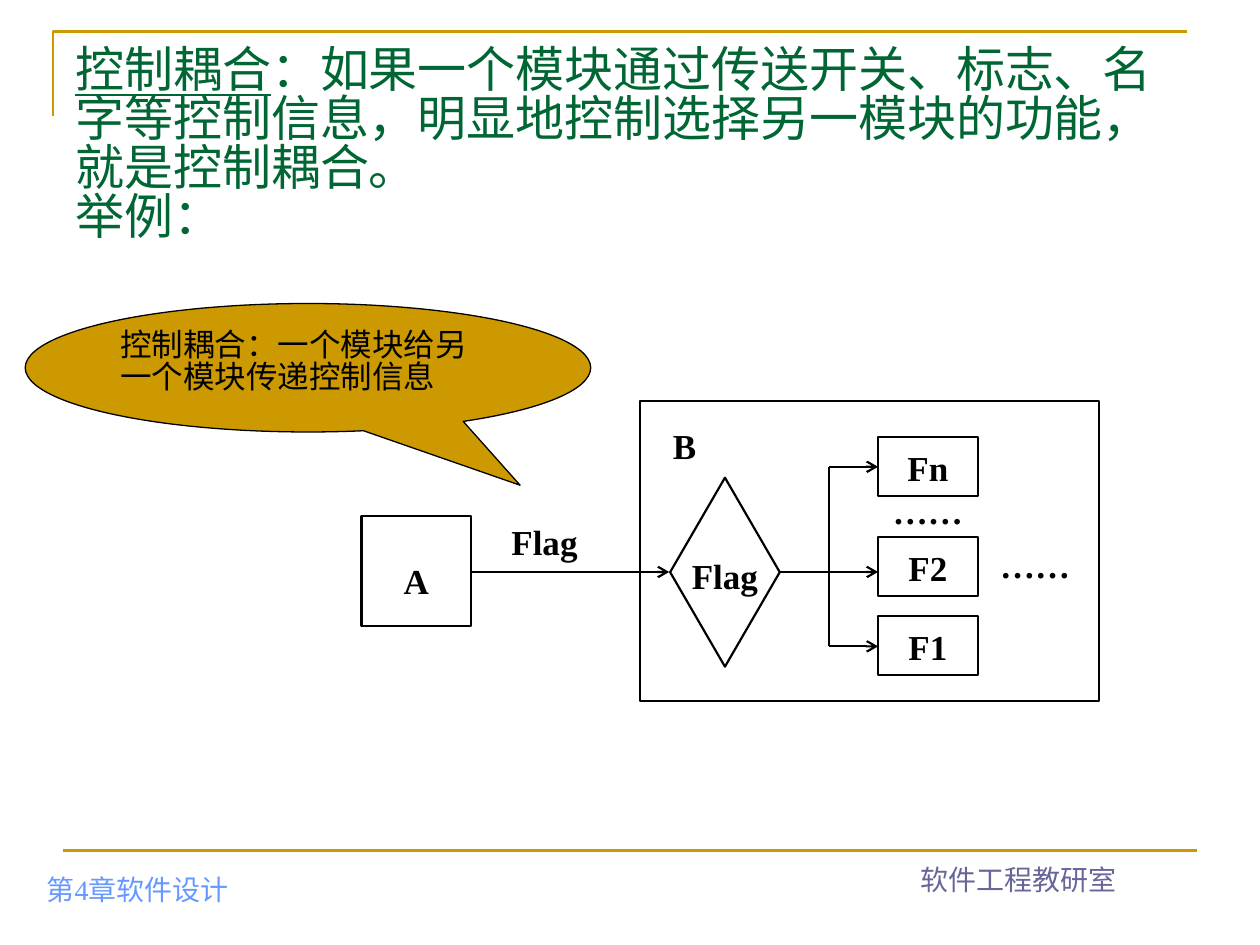
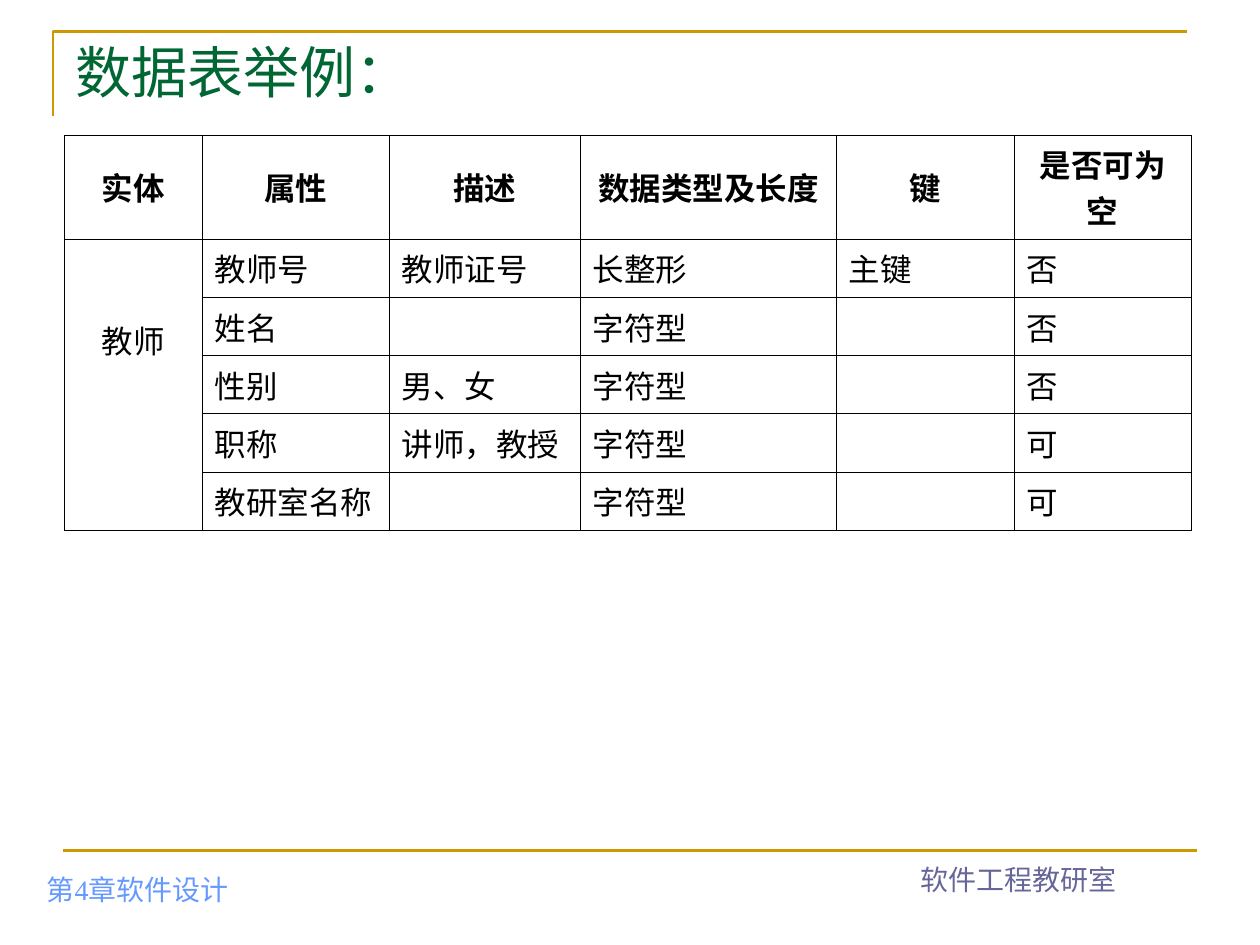
import pptx
import pptx.dml.color
import pptx.enum.shapes
import pptx.enum.text
import pptx.oxml
import pptx.oxml.ns
import pptx.util
from lxml import etree

Cm = pptx.util.Cm
Pt = pptx.util.Pt
SHAPE = pptx.enum.shapes.MSO_SHAPE
ALIGN = pptx.enum.text.PP_ALIGN
ANCHOR = pptx.enum.text.MSO_ANCHOR
qn = pptx.oxml.ns.qn


def colour(value):
    return pptx.dml.color.RGBColor.from_string(value)


class Deck:
    GREEN, GOLD, BLACK, WHITE = "006633", "CC9900", "000000", "FFFFFF"
    SKY, VIOLET = "6699FF", "666699"
    SERIF, SANS, CHINESE = "Times New Roman", "Arial", "Noto Sans CJK SC"
    TIGHT = 0.83

    def __init__(self):
        self.presentation = pptx.Presentation()
        self.presentation.slide_width = Cm(25.4)
        self.presentation.slide_height = Cm(19.05)
        self.slide = None

    def new_slide(self, heading, size, height, term=""):
        layout = self.presentation.slide_layouts[5]
        self.slide = self.presentation.slides.add_slide(layout)
        self.frame()
        self.heading(heading, size, height, term)

    def frame(self):
        builder = self.slide.shapes.build_freeform(Cm(1.07), Cm(2.34))
        builder.add_line_segments(
            [(Cm(1.07), Cm(0.64)), (Cm(23.93), Cm(0.64))], close=False)
        corner = builder.convert_to_shape()
        corner.shadow.inherit = False
        self.paint(corner, None, self.GOLD, 1.5)
        self.line((1.27, 17.14), (24.13, 17.14), self.GOLD, 1.5)
        self.text("第4章软件设计", (0.69, 17.12, 8, 1.27), 16, self.SKY,
                  anchor=ANCHOR.BOTTOM)
        self.text("软件工程教研室", (16.51, 16.92, 8.05, 1.27), 16, self.VIOLET,
                  align=ALIGN.CENTER, anchor=ANCHOR.BOTTOM)

    def heading(self, wording, size, height, term):
        title = self.slide.shapes.title
        title.left, title.top = Cm(1.27), Cm(0.76)
        title.width, title.height = Cm(22.86), Cm(height)
        text_frame = title.text_frame
        text_frame.text = wording
        if term:
            opening = text_frame.paragraphs[0]
            opening.text = term
            opening.runs[0].font.underline = True
            opening.add_run().text = wording.split("\n")[0].removeprefix(term)
        self.format(text_frame, size, self.GREEN, spacing=self.TIGHT,
                    margins=(0.25, 0.22))

    def format(self, text_frame, size, tint, face=SERIF, bold=False,
               align=ALIGN.LEFT, spacing=None, anchor=ANCHOR.TOP,
               margins=(0.25, 0.13)):
        text_frame.word_wrap = True
        text_frame.auto_size = pptx.enum.text.MSO_AUTO_SIZE.NONE
        text_frame.vertical_anchor = anchor
        text_frame.margin_left = text_frame.margin_right = Cm(margins[0])
        text_frame.margin_top = text_frame.margin_bottom = Cm(margins[1])
        self.format_runs(text_frame, size, tint, face, bold, align, spacing)

    def format_runs(self, text_frame, size, tint, face, bold, align,
                    spacing=None):
        for paragraph in text_frame.paragraphs:
            paragraph.alignment = align
            paragraph.line_spacing = spacing
            for run in paragraph.runs:
                run.font.size = Pt(size)
                run.font.bold = bold
                run.font.name = face
                run.font.color.rgb = colour(tint)
                chinese = any("一" <= letter <= "龥" for letter in run.text)
                etree.SubElement(run.font._element, qn("a:ea")).set(
                    "typeface", self.CHINESE if chinese else face)

    def paint(self, shape, fill, edge, weight):
        if fill:
            shape.fill.solid()
            shape.fill.fore_color.rgb = colour(fill)
        else:
            shape.fill.background()
        shape.line.color.rgb = colour(edge)
        shape.line.width = Pt(weight)

    def text(self, wording, box, size, tint, **style):
        label = self.slide.shapes.add_textbox(*map(Cm, box))
        label.text_frame.text = wording
        self.format(label.text_frame, size, tint, **style)

    def label(self, wording, box, spacing=1, align=ALIGN.CENTER,
              margins=(0.05, 0.03)):
        self.text(wording, box, 20, self.BLACK, bold=True, align=align,
                  spacing=spacing, margins=margins)

    def shape(self, kind, box, fill=None, weight=1.25):
        outline = self.slide.shapes.add_shape(kind, *map(Cm, box))
        outline.shadow.inherit = False
        self.paint(outline, fill, self.BLACK, weight)
        return outline

    def module(self, name, box, spacing):
        block = self.shape(SHAPE.RECTANGLE, box, self.WHITE)
        block.text_frame.text = name
        self.format(block.text_frame, 20, self.BLACK, bold=True,
                    align=ALIGN.CENTER, spacing=spacing, margins=(0.25, 0.03))

    def callout(self, wording, box, tip):
        bubble = self.shape(SHAPE.OVAL_CALLOUT, box, self.GOLD, 0.75)
        bubble.adjustments[0], bubble.adjustments[1] = tip
        bubble.text_frame.text = wording
        self.format(bubble.text_frame, 18, self.BLACK, face=self.SANS,
                    spacing=self.TIGHT, margins=(0.25, 0.19))

    def line(self, start, end, tint=BLACK, weight=1.25, arrow=False):
        connector = self.slide.shapes.add_connector(
            pptx.enum.shapes.MSO_CONNECTOR.STRAIGHT,
            *map(Cm, start), *map(Cm, end))
        connector.line.color.rgb = colour(tint)
        connector.line.width = Pt(weight)
        if arrow:
            etree.SubElement(connector.line._get_or_add_ln(),
                             qn("a:tailEnd")).set("type", "arrow")
        etree.SubElement(connector._element.spPr, qn("a:effectLst"))

    def border(self, cell):
        properties = cell._tc.get_or_add_tcPr()
        for position, side in enumerate(("a:lnL", "a:lnR", "a:lnT", "a:lnB")):
            edge = etree.Element(qn(side), w=str(Pt(0.45)))
            fill = etree.SubElement(edge, qn("a:solidFill"))
            etree.SubElement(fill, qn("a:srgbClr")).set("val", self.BLACK)
            properties.insert(position, edge)

    def table(self, rows, corner, widths, heights):
        table = self.slide.shapes.add_table(
            len(rows), len(widths), *map(Cm, corner),
            Cm(sum(widths)), Cm(sum(heights))).table
        table.horz_banding = False
        for column, width in zip(table.columns, widths):
            column.width = Cm(width)
        for row, height in zip(table.rows, heights):
            row.height = Cm(height)
        for r, row in enumerate(rows):
            for c, wording in enumerate(row):
                cell = table.cell(r, c)
                cell.text_frame.text = wording
                cell.fill.solid()
                cell.fill.fore_color.rgb = colour(self.WHITE)
                cell.vertical_anchor = ANCHOR.MIDDLE if r == 0 else ANCHOR.TOP
                centred = r == 0 or c == 0
                self.format_runs(cell.text_frame, 18, self.BLACK, self.SANS,
                                 r == 0,
                                 ALIGN.CENTER if centred else ALIGN.LEFT)
                self.border(cell)
        entity = table.cell(1, 0)
        entity.merge(table.cell(len(rows) - 1, 0))
        entity.margin_top = Cm(1.56)


def control_coupling(deck):
    deck.new_slide(
        "控制耦合：如果一个模块通过传送开关、标志、名字等控制信息，"
        "明显地控制选择另一模块的功能，就是控制耦合。\n举例：",
        28, 3.18, term="控制耦合")
    flow, branch, functions = 11.53, 16.71, 17.7
    top_branch, bottom_branch = 9.41, 13.03

    deck.module("A", (7.29, 10.41, 2.21, 2.21), 2)
    deck.label("B", (12.9, 7.52, 1.8, 2.01), 2.2)
    deck.shape(SHAPE.DIAMOND, (13.51, 9.63, 2.21, 3.81))
    deck.label("Flag", (13.51, 10.9, 2.21, 1.45), 1.3, margins=(0.15, 0.03))
    for name, top in (("Fn", 8.81), ("F2", 10.82), ("F1", 12.42)):
        deck.module(name, (functions, top, 2.01, 1.19), 1.2)
    deck.label("……", (functions, 9.83, 2.01, 1.09))
    deck.label("……", (19.91, 10.82, 2.97, 1.65), align=ALIGN.LEFT,
               margins=(0.25, 0.13))
    deck.line((branch, top_branch), (branch, bottom_branch))
    for start, level in ((branch, top_branch), (15.72, flow),
                         (branch, bottom_branch)):
        deck.line((start, level), (functions, level), arrow=True)
    deck.shape(SHAPE.RECTANGLE, (12.9, 8.08, 9.25, 6.05))
    deck.line((9.5, flow), (13.49, flow), arrow=True)
    deck.label("Flag", (10.26, 10.13, 1.8, 1.4), 1.4, align=ALIGN.LEFT)
    deck.callout("控制耦合：一个模块给另一个模块传递控制信息",
                 (0.51, 6.12, 11.4, 2.59), (0.375, 0.914))


def data_table(deck):
    deck.new_slide("数据表举例：", 32, 2.01)
    fields = [
        ("实体", "属性", "描述", "数据类型及长度", "键", "是否可为空"),
        ("教师", "教师号", "教师证号", "长整形", "主键", "否"),
        ("", "姓名", "", "字符型", "", "否"),
        ("", "性别", "男、女", "字符型", "", "否"),
        ("", "职称", "讲师，教授", "字符型", "", "可"),
        ("", "教研室名称", "", "字符型", "", "可"),
    ]
    deck.table(fields, (1.3, 2.72), (2.78, 3.77, 3.85, 5.16, 3.58, 3.58),
               [2.1] + [1.17] * 5)


def main():
    deck = Deck()
    control_coupling(deck)
    data_table(deck)
    deck.presentation.save("out.pptx")


if __name__ == "__main__":
    main()
